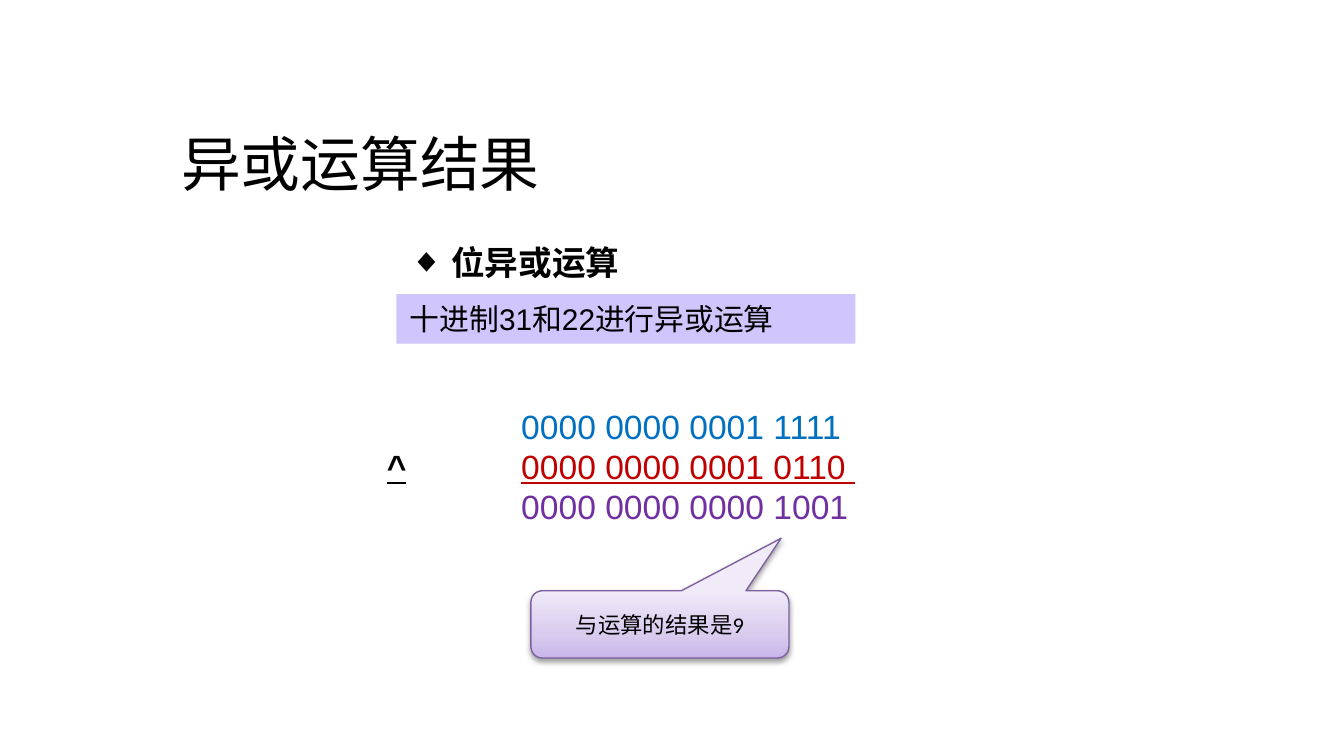
from lxml.etree import SubElement, fromstring
from pptx import Presentation
from pptx.dml.color import RGBColor
from pptx.enum.shapes import MSO_SHAPE as Preset
from pptx.enum.text import MSO_ANCHOR as Anchor, PP_ALIGN as Align
from pptx.oxml.ns import nsdecls, qn
from pptx.util import Inches, Pt

THEME = {
    "colours": {"text": "000000", "first": "0070C0", "second": "C00000", "result": "7030A0",
                "band": "D0C5FD", "outline": "7D60A0"},
    "gradient": [(0, "C9B5E8"), (35, "D8CBEE"), (100, "F0EAF9")],
    "sizes": {"title": 32, "body": 18, "band": 16, "callout": 12},
}
COLOURS, SIZES = THEME["colours"], THEME["sizes"]

presentation = Presentation()
presentation.slide_width = Inches(10)
presentation.slide_height = presentation.slide_width * 9 // 16
slide = presentation.slides.add_slide(presentation.slide_layouts[6])


def share(left, top, width, height):
    """Turn percentages of the slide's width and height into lengths."""
    across, down = presentation.slide_width / 100, presentation.slide_height / 100
    return [int(left * across), int(top * down), int(width * across), int(height * down)]


def add_run(paragraph, text, size, colour="text", **formats):
    run = paragraph.add_run()
    run.text = text
    run.font.color.rgb = RGBColor.from_string(COLOURS[colour])
    for name, value in {"name": "Arial", "size": Pt(SIZES[size]), **formats}.items():
        setattr(run.font, name, value)


# Title
title = slide.shapes.add_textbox(*share(12.5, 15.9, 60.8, 11.9)).text_frame
title.word_wrap = True
add_run(title.paragraphs[0], "异或运算结果", "title", name="Calibri")

# Binary sum: operator, tab, digits
binary_rows = [
    ("", "0000 0000 0001 1111", "first", {}),
    ("^", "0000 0000 0001 0110 ", "second", {"underline": True}),
    ("", "0000 0000 0000 1001", "result", {}),
]
binary_sum = slide.shapes.add_textbox(*share(27.8, 52.8, 37.2, 17.96)).text_frame
binary_sum.word_wrap = True
for index, (operator, digits, colour, formats) in enumerate(binary_rows):
    paragraph = binary_sum.add_paragraph() if index else binary_sum.paragraphs[0]
    tab_list = SubElement(paragraph._p.get_or_add_pPr(), qn("a:tabLst"))
    SubElement(tab_list, qn("a:tab"), pos=str(Inches(1)), algn="l")
    if operator:
        add_run(paragraph, operator, "body", bold=True, underline=True)
    add_run(paragraph, "\t", "body", **formats)
    add_run(paragraph, digits, "body", colour, **formats)

# Task band
band = slide.shapes.add_shape(Preset.RECTANGLE, *share(29.5, 38.9, 34.15, 6.58))
band.shadow.inherit = False
band.fill.solid()
band.fill.fore_color.rgb = RGBColor.from_string(COLOURS["band"])
band.line.fill.background()
band.text_frame.vertical_anchor = Anchor.TOP
band.text_frame.word_wrap = True
band.text_frame.paragraphs[0].alignment = Align.LEFT
add_run(band.text_frame.paragraphs[0], "十进制31和22进行异或运算", "band")

# Result callout
callout = slide.shapes.add_shape(Preset.ROUNDED_RECTANGULAR_CALLOUT, *share(39.5, 78.15, 19.2, 8.9))
for index, value in enumerate((0.47, -1.28, 0.17)):
    callout.adjustments[index] = value
callout.line.color.rgb = RGBColor.from_string(COLOURS["outline"])
callout.line.width = Pt(0.75)
callout.shadow.inherit = False
stops = "".join(f'<a:gs pos="{position * 1000}"><a:srgbClr val="{colour}"/></a:gs>'
                for position, colour in THEME["gradient"])
properties = callout.fill._xPr
properties.find(qn("a:prstGeom")).addnext(fromstring(
    f'<a:gradFill {nsdecls("a")} rotWithShape="1"><a:gsLst>{stops}</a:gsLst>'
    '<a:lin ang="16200000" scaled="0"/></a:gradFill>'))
properties.find(qn("a:effectLst")).append(fromstring(
    f'<a:outerShdw {nsdecls("a")} blurRad="{Pt(3.1)}" dist="{Pt(1.6)}" dir="5400000" rotWithShape="0">'
    f'<a:srgbClr val="{COLOURS["text"]}"><a:alpha val="38000"/></a:srgbClr></a:outerShdw>'))
callout.text_frame.vertical_anchor = Anchor.MIDDLE
callout.text_frame.word_wrap = True
callout.text_frame.paragraphs[0].alignment = Align.CENTER
add_run(callout.text_frame.paragraphs[0], "与运算的结果是9", "callout", name="Calibri")

# Bulleted heading
heading = slide.shapes.add_textbox(*share(29.5, 31.1, 18.3, 7.1)).text_frame
heading.word_wrap = True
paragraph = heading.paragraphs[0]
bullet_format = paragraph._p.get_or_add_pPr()
for name, value in {"marL": Inches(0.31), "indent": -Inches(0.31)}.items():
    bullet_format.set(name, str(value))
SubElement(bullet_format, qn("a:buFont")).set("typeface", "Arial")
SubElement(bullet_format, qn("a:buChar")).set("char", "◆")
add_run(paragraph, "位异或运算", "body", bold=True)

presentation.save("out.pptx")
